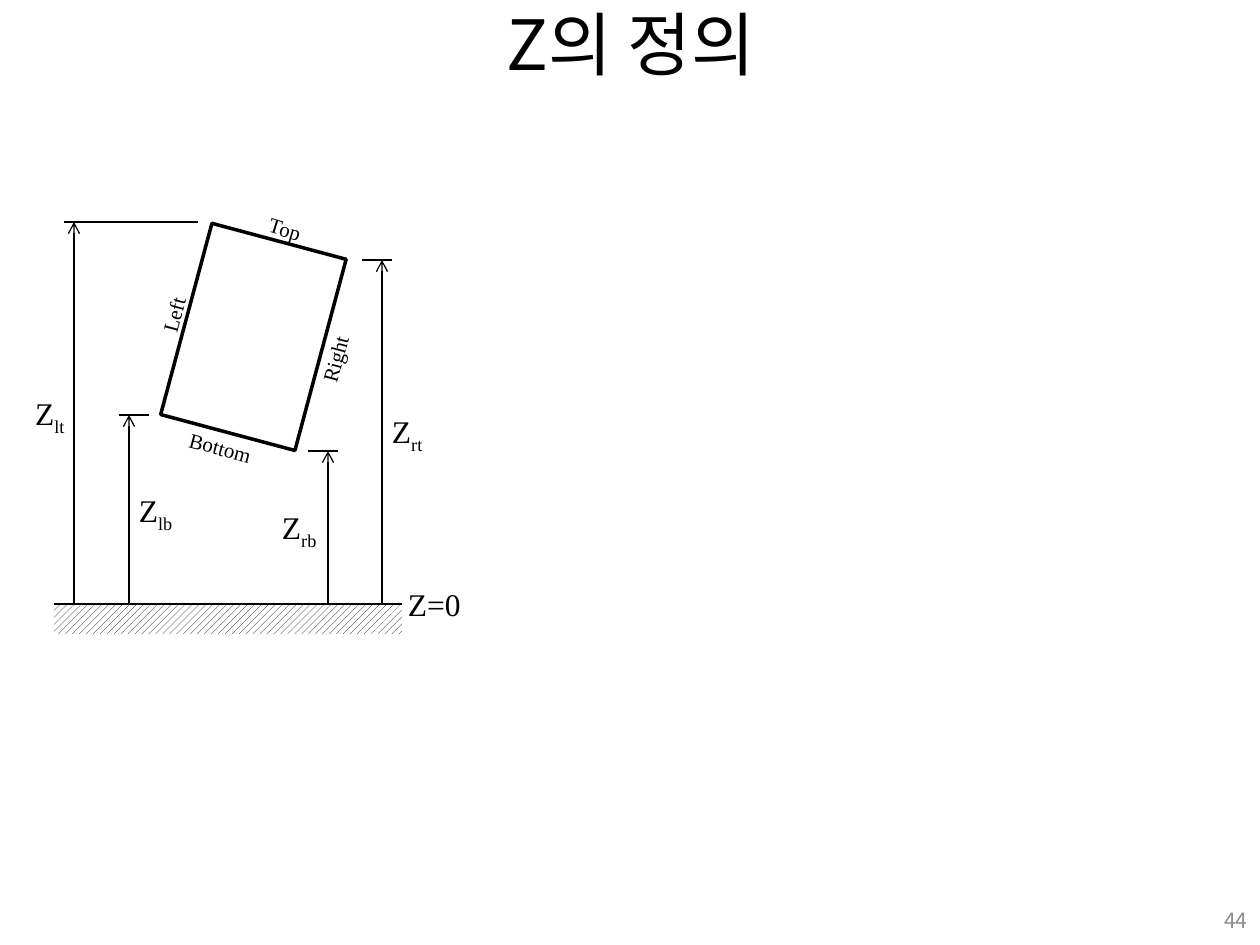
from pptx import Presentation
from pptx.dml.color import RGBColor
from pptx.enum.dml import MSO_PATTERN
from pptx.enum.shapes import MSO_CONNECTOR, MSO_SHAPE
from pptx.enum.text import MSO_ANCHOR as Anchor, MSO_AUTO_SIZE as AutoSize, PP_ALIGN as Align
from pptx.oxml.ns import qn
from pptx.util import Emu, Pt

PX_PER_INCH = 126
SANS, SERIF = "Noto Sans CJK KR", "Times New Roman"
BLACK, WHITE, GRAY = "000000", "FFFFFF", "8C8C8C"


def px(*lengths):
    return [Emu(round(length * 914400 / PX_PER_INCH)) for length in lengths]


def color(value):
    return RGBColor.from_string(value)


class Sketch:
    """Draws on one slide; the diagram parts go into one group."""

    def __init__(self, slide):
        self.slide = slide
        self.group = slide.shapes.add_group_shape().shapes

    def style(self, span, font, size, ink=BLACK):
        span.font.name, span.font.size = font, Pt(size)
        span.font.color.rgb = color(ink)
        east_asian = span.font._element.get_or_add_latin().makeelement(qn("a:ea"), {"typeface": font})
        span.font._element.find(qn("a:latin")).addnext(east_asian)

    def place(self, shape, left, top, width, height):
        shape.left, shape.top, shape.width, shape.height = px(left, top, width, height)

    def title(self, text, *bounds):
        title = self.slide.shapes.title
        self.place(title, *bounds)
        frame = title.text_frame
        frame.text = text
        frame.vertical_anchor = Anchor.MIDDLE
        para = frame.paragraphs[0]
        para.alignment = Align.CENTER
        self.style(para.runs[0], SANS, 39.6)

    def page_number(self, text, *bounds):
        frame = self.slide.shapes.add_textbox(*px(*bounds)).text_frame
        frame.word_wrap = True
        frame.text = text
        frame.vertical_anchor = Anchor.MIDDLE
        para = frame.paragraphs[0]
        para.alignment = Align.RIGHT
        self.style(para.runs[0], SANS, 12, GRAY)

    def ground(self, *bounds):
        ground = self.group.add_shape(MSO_SHAPE.RECTANGLE, *px(*bounds))
        ground.shadow.inherit = False
        ground.fill.patterned()
        ground.fill.pattern = MSO_PATTERN.WIDE_UPWARD_DIAGONAL
        ground.fill.fore_color.rgb = color(BLACK)
        ground.fill.back_color.rgb = color(WHITE)
        ground.line.fill.background()

    def box(self, *bounds, rotation):
        box = self.group.add_shape(MSO_SHAPE.RECTANGLE, *px(*bounds))
        box.shadow.inherit = False
        box.rotation = rotation
        box.fill.solid()
        box.fill.fore_color.rgb = color(WHITE)
        box.line.color.rgb = color(BLACK)
        box.line.width = Pt(2)

    def line(self, *ends, arrow=False):
        line = self.group.add_connector(MSO_CONNECTOR.STRAIGHT, *px(*ends))
        line.line.color.rgb = color(BLACK)
        line.line.width = Pt(0.75)
        properties = line._element.spPr
        if arrow:
            outline = line.line._get_or_add_ln()
            outline.append(outline.makeelement(qn("a:tailEnd"), {"type": "arrow"}))
        properties.append(properties.makeelement(qn("a:effectLst"), {}))

    def label(self, text, *bounds, size=18, subscript="", rotation=0):
        label = self.group.add_textbox(*px(*bounds))
        label.rotation = rotation
        frame = label.text_frame
        frame.margin_left = frame.margin_right = frame.margin_top = frame.margin_bottom = 0
        frame.word_wrap = False
        frame.auto_size = AutoSize.SHAPE_TO_FIT_TEXT
        frame.text = text
        para = frame.paragraphs[0]
        if subscript:
            para.add_run().text = subscript
        for span in para.runs:
            self.style(span, SERIF, size)
        if subscript:
            para.runs[1].font._element.set("baseline", "-25000")


def main():
    deck = Presentation()
    deck.slide_width, deck.slide_height = px(1260, 945)
    sketch = Sketch(deck.slides.add_slide(deck.slide_layouts[5]))
    sketch.title("Z의 정의", 64, 0, 1134, 86)

    ground_left, ground_right, ground_y = 54, 402, 604
    sketch.ground(ground_left, ground_y, ground_right - ground_left, 30)
    sketch.box(184, 238, 139, 198, rotation=15)
    sketch.line(ground_left, ground_y, ground_right, ground_y)
    sketch.label("Z=0", 408, 585, 53, 38)

    # corner, arrow x, corner y, tick start, tick end, label left, top, width
    heights = [
        ("lt", 74, 222, 64, 198, 35, 394, 32),
        ("lb", 129, 415, 119, 149, 139, 491, 37),
        ("rb", 328, 451, 308, 338, 282, 508, 37),
        ("rt", 382, 260, 362, 392, 392, 412, 33),
    ]
    for corner, x, y, tick_start, tick_end, left, top, width in heights:
        sketch.line(x, ground_y, x, y, arrow=True)
        sketch.line(tick_start, y, tick_end, y)
        sketch.label("Z", left, top, width, 38, subscript=corner)

    sides = [
        ("Left", 156, 302, 35, 285),
        ("Bottom", 189, 435, 64, 15),
        ("Right", 311, 346, 48, 285),
        ("Top", 269, 216, 33, 17),
    ]
    for side, left, top, width, rotation in sides:
        sketch.label(side, left, top, width, 25, size=12, rotation=rotation)

    sketch.page_number("44", 966, 895, 294, 50)
    deck.save("out.pptx")


if __name__ == "__main__":
    main()
